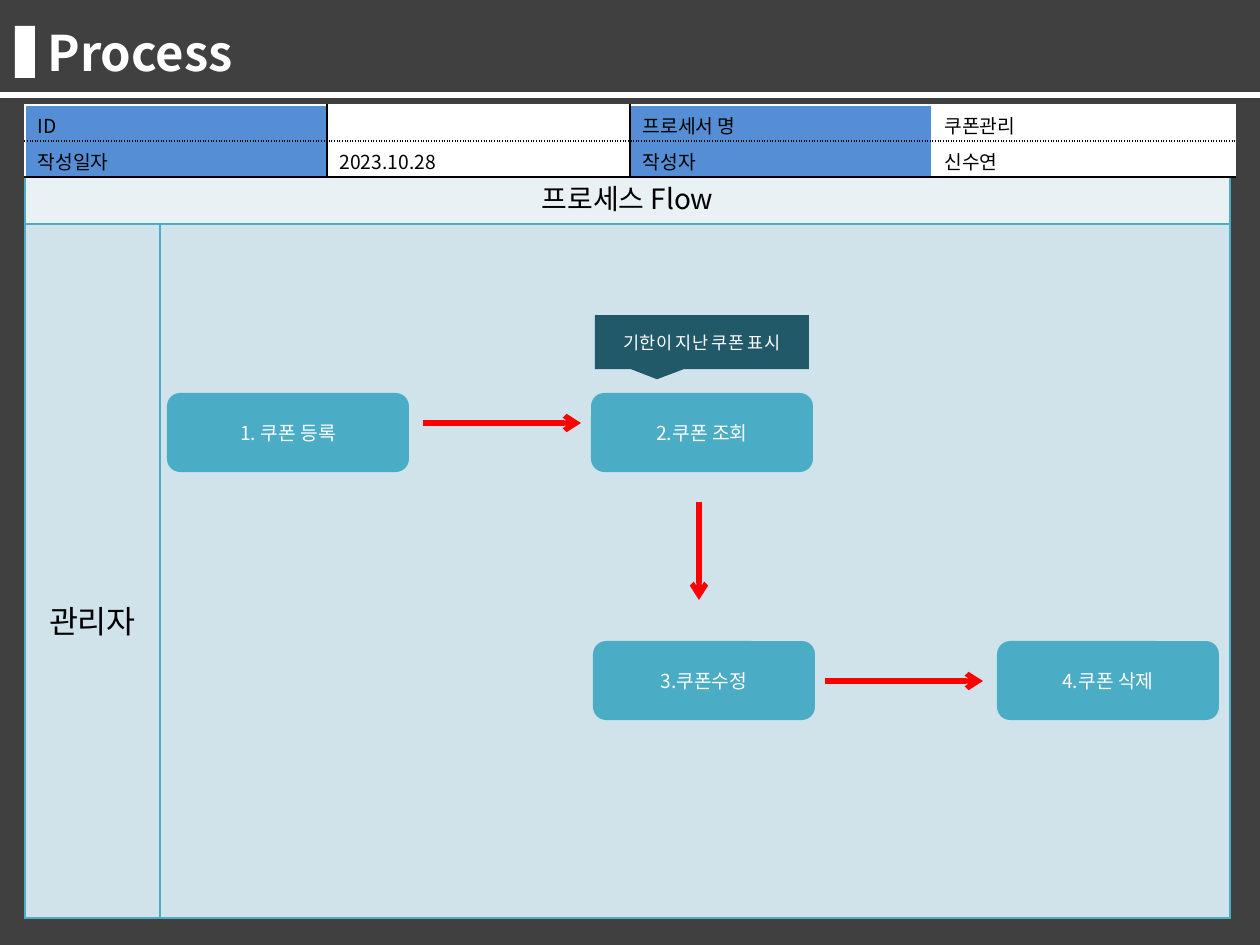
from dataclasses import dataclass

from lxml import etree
from pptx import Presentation
from pptx.dml.color import RGBColor
from pptx.enum.shapes import MSO_CONNECTOR, MSO_SHAPE
from pptx.enum.text import MSO_ANCHOR, MSO_AUTO_SIZE, PP_ALIGN
from pptx.oxml.ns import qn
from pptx.util import Emu, Pt

RECTANGLE = MSO_SHAPE.RECTANGLE
ROUNDED = MSO_SHAPE.ROUNDED_RECTANGLE
CALLOUT = MSO_SHAPE.RECTANGULAR_CALLOUT
LEFT, CENTER = PP_ALIGN.LEFT, PP_ALIGN.CENTER
TOP, MIDDLE = MSO_ANCHOR.TOP, MSO_ANCHOR.MIDDLE

EMU_PER_PX = 914400 / 126
FONT = "Noto Sans CJK KR"
COLORS = {
    "white": "FFFFFF",
    "black": "000000",
    "backdrop": "404040",
    "teal": "4BACC6",
    "dark_teal": "215968",
    "header": "E9F1F5",
    "lane": "D0E3EA",
    "label": "558ED5",
    "arrow": "FF0000",
}


@dataclass(frozen=True)
class Box:
    left: int
    top: int
    width: int
    height: int
    fill: str
    kind: int = RECTANGLE
    text: str = ""
    size: int = 11


@dataclass(frozen=True)
class Arrow:
    x1: int
    y1: int
    x2: int
    y2: int


@dataclass(frozen=True)
class Edge:
    color: str
    dash: str = "solid"


BACKDROP = Box(0, 0, 1260, 945, "backdrop")
TITLE_BARS = [Box(15, 26, 20, 52, "white"), Box(0, 92, 1260, 6, "white")]
STEPS = [
    Box(167, 393, 242, 79, "teal", ROUNDED, "1. 쿠폰 등록"),
    Box(593, 641, 222, 79, "teal", ROUNDED, "3.쿠폰수정"),
    Box(997, 641, 222, 79, "teal", ROUNDED, "4.쿠폰 삭제"),
    Box(591, 393, 222, 79, "teal", ROUNDED, "2.쿠폰 조회"),
]
NOTE = Box(595, 315, 214, 54, "dark_teal", CALLOUT, "기한이 지난 쿠폰 표시", 10)
ARROWS = [
    Arrow(423, 423, 581, 423),
    Arrow(825, 681, 983, 681),
    Arrow(699, 502, 699, 600),
]
INFO_ROWS = [
    ["ID", "", "프로세서 명", "쿠폰관리"],
    ["작성일자", "2023.10.28", "작성자", "신수연"],
]


def px(value: int) -> Emu:
    return Emu(round(value * EMU_PER_PX))


def rgb(name: str) -> RGBColor:
    return RGBColor.from_string(COLORS[name])


def write_text(text_frame, text: str, size: int, color: str, align, bold=False) -> None:
    text_frame.text = text
    paragraph = text_frame.paragraphs[0]
    paragraph.alignment = align
    for run in paragraph.runs:
        run.font.size = Pt(size)
        run.font.bold = bold
        run.font.name = FONT
        run.font.color.rgb = rgb(color)
        etree.SubElement(run.font._element, qn("a:ea"), typeface=FONT)
    if not text:  # keeps an empty cell from growing its row
        etree.SubElement(paragraph._p, qn("a:endParaRPr"), sz=str(size * 100))


def draw_box(slide, box: Box):
    shape = slide.shapes.add_shape(
        box.kind, px(box.left), px(box.top), px(box.width), px(box.height)
    )
    shape.shadow.inherit = False
    shape.fill.solid()
    shape.fill.fore_color.rgb = rgb(box.fill)
    shape.line.fill.background()
    if box.text:
        shape.text_frame.word_wrap = True
        shape.text_frame.vertical_anchor = MIDDLE
        write_text(shape.text_frame, box.text, box.size, "white", CENTER)
    return shape


def draw_arrow(slide, arrow: Arrow) -> None:
    connector = slide.shapes.add_connector(
        MSO_CONNECTOR.STRAIGHT, px(arrow.x1), px(arrow.y1), px(arrow.x2), px(arrow.y2)
    )
    connector.line.color.rgb = rgb("arrow")
    connector.line.width = Pt(3)
    etree.SubElement(connector.line._get_or_add_ln(), qn("a:tailEnd"), type="arrow")
    etree.SubElement(connector._element.spPr, qn("a:effectLst"))


def set_borders(cell, left: Edge, right: Edge, top: Edge, bottom: Edge) -> None:
    properties = cell._tc.get_or_add_tcPr()
    for index, (side, edge) in enumerate(zip("LRTB", (left, right, top, bottom))):
        line = etree.Element(qn(f"a:ln{side}"), w=str(Pt(1)))
        fill = etree.SubElement(line, qn("a:solidFill"))
        etree.SubElement(fill, qn("a:srgbClr"), val=COLORS[edge.color])
        etree.SubElement(line, qn("a:prstDash"), val=edge.dash)
        properties.insert(index, line)


def add_grid(slide, left: int, top: int, widths: list[int], heights: list[int],
             fills: list[list[str]], vertical: list[Edge], horizontal: list[Edge]):
    """Adds a table whose edges are listed from left to right and top to bottom."""
    table = slide.shapes.add_table(
        len(heights), len(widths), px(left), px(top), px(sum(widths)), px(sum(heights))
    ).table
    table.first_row = table.horz_banding = False
    for column, width in zip(table.columns, widths):
        column.width = px(width)
    for r, height in enumerate(heights):
        table.rows[r].height = px(height)
        for c in range(len(widths)):
            cell = table.cell(r, c)
            cell.fill.solid()
            cell.fill.fore_color.rgb = rgb(fills[r][c])
            set_borders(cell, vertical[c], vertical[c + 1], horizontal[r], horizontal[r + 1])
    return table


def draw_flow_table(slide) -> None:
    edges = [Edge("teal")] * 3
    table = add_grid(slide, 25, 171, [135, 1070], [53, 694],
                     [["header"] * 2, ["lane"] * 2], edges, edges)
    header, lane = table.cell(0, 0), table.cell(1, 0)
    header.merge(table.cell(0, 1))
    write_text(header.text_frame, "프로세스 Flow", 16, "black", CENTER)
    write_text(lane.text_frame, "관리자", 18, "black", CENTER)
    lane.vertical_anchor = MIDDLE
    lane.margin_top = px(104)  # places the label below the middle of the lane


def draw_info_table(slide) -> None:
    white, black = Edge("white"), Edge("black")
    table = add_grid(slide, 25, 105, [302, 303, 302, 303], [36, 36],
                     [["label", "white"] * 2] * 2,
                     [white, black, black, white, white],
                     [white, Edge("black", "sysDot"), black])
    for r, texts in enumerate(INFO_ROWS):
        for c, text in enumerate(texts):
            cell = table.cell(r, c)
            cell.vertical_anchor = TOP
            cell.margin_bottom = 0
            write_text(cell.text_frame, text, 11, "black", LEFT)


def main() -> None:
    presentation = Presentation()
    presentation.slide_width, presentation.slide_height = px(1260), px(945)
    slide = presentation.slides.add_slide(presentation.slide_layouts[5])

    # Title band
    title = slide.shapes.title
    title.left, title.top, title.width, title.height = px(35), px(16), px(1131), px(72)
    title.text_frame.auto_size = MSO_AUTO_SIZE.NONE
    title.text_frame.vertical_anchor = MIDDLE
    write_text(title.text_frame, "Process", 28, "white", LEFT, bold=True)
    title.element.addprevious(draw_box(slide, BACKDROP).element)
    for bar in TITLE_BARS:
        draw_box(slide, bar)

    # Tables
    draw_flow_table(slide)
    draw_info_table(slide)

    # Process flow
    for step in STEPS:
        draw_box(slide, step)
    note = draw_box(slide, NOTE)
    note.adjustments[0], note.adjustments[1] = -0.21, 0.69
    for arrow in ARROWS:
        draw_arrow(slide, arrow)

    presentation.save("out.pptx")


if __name__ == "__main__":
    main()
